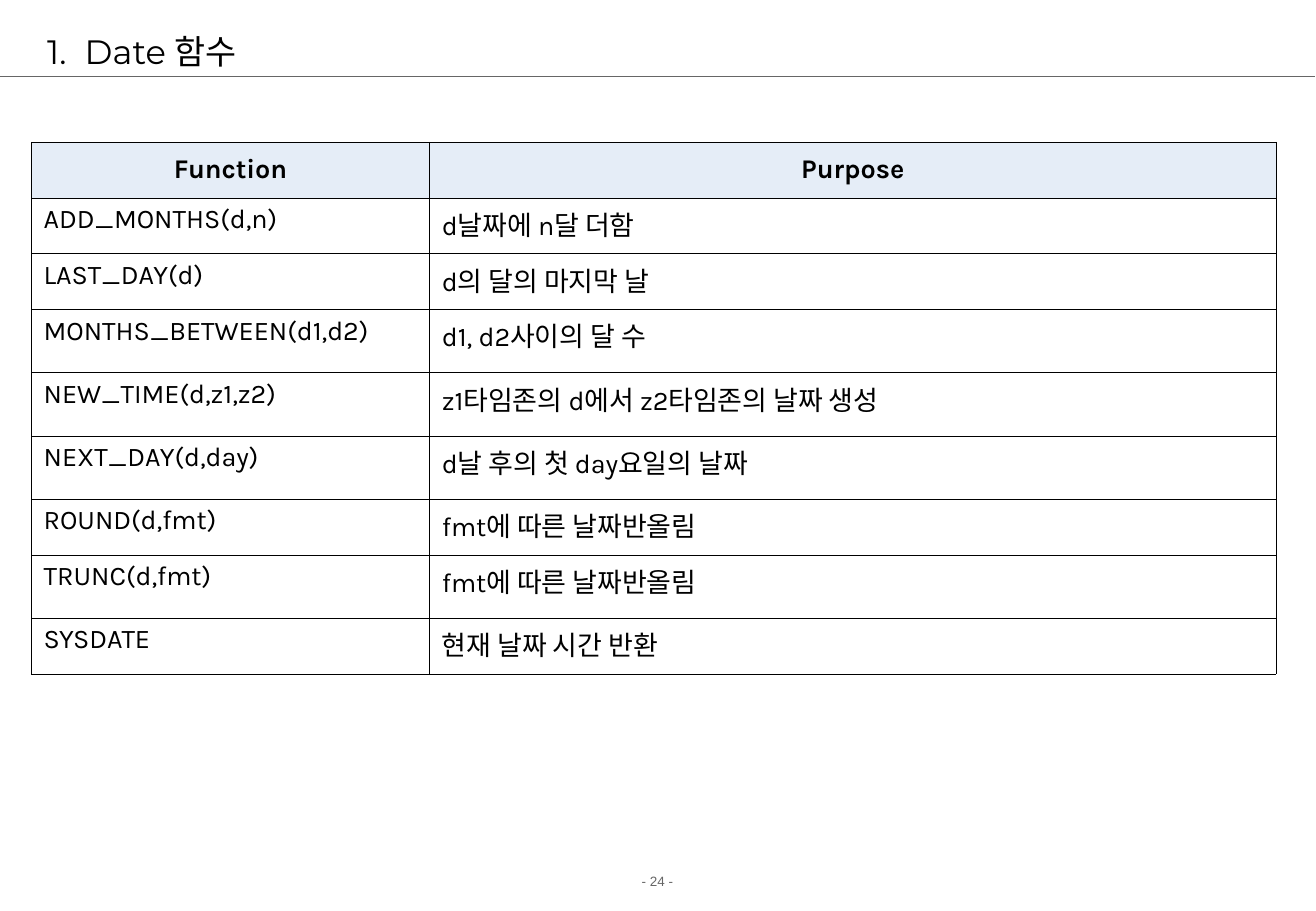
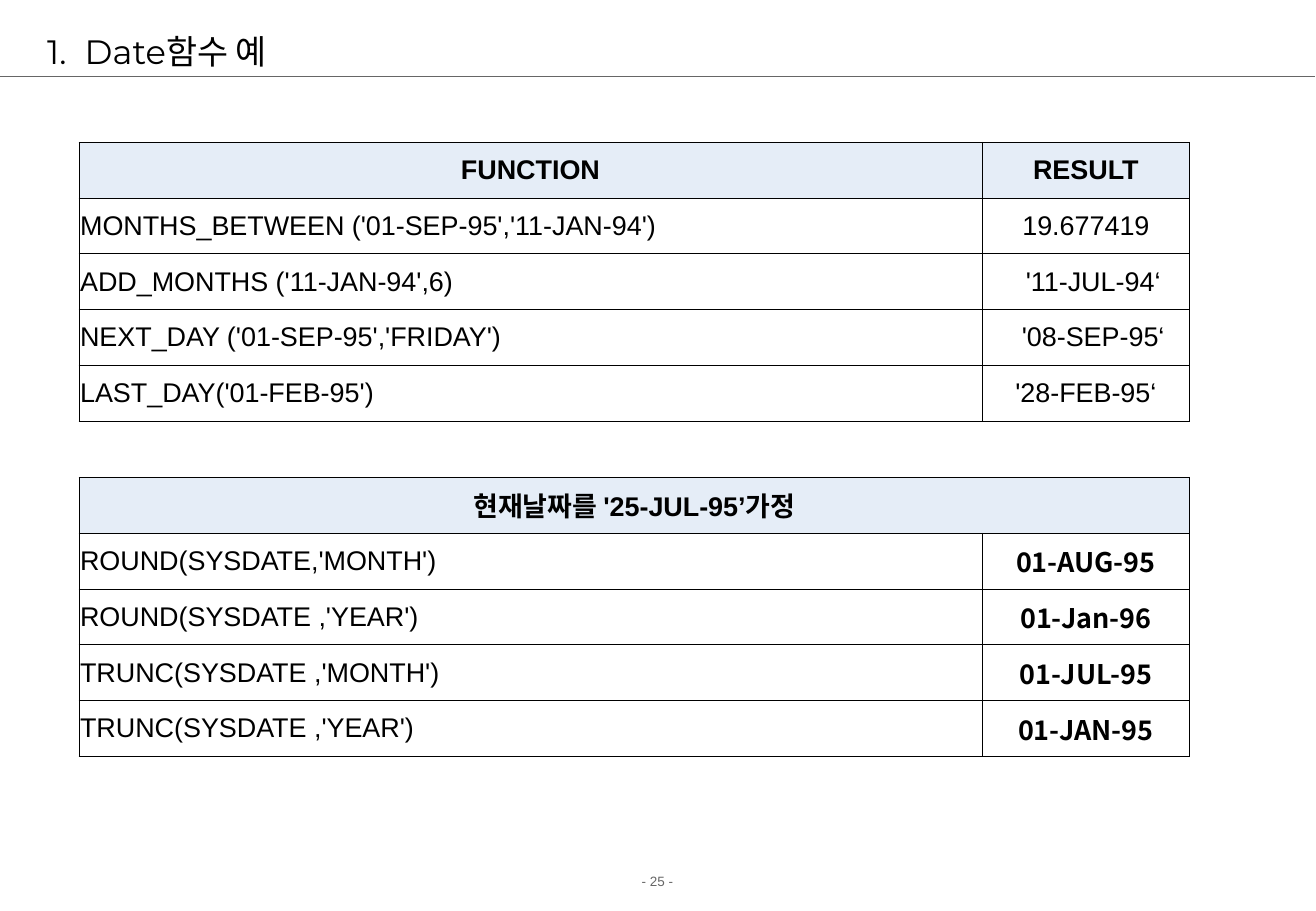
from lxml import etree
from pptx import Presentation
from pptx.dml.color import RGBColor
from pptx.enum.shapes import MSO_CONNECTOR
from pptx.enum.text import MSO_ANCHOR, PP_ALIGN
from pptx.oxml.ns import qn
from pptx.util import Inches, Pt

BLACK, GREY, WHITE, HEADER_FILL = "000000", "666666", "FFFFFF", "E5EDF7"
KOREAN_FONT = "Noto Sans CJK KR"


def add_run(p, text, font, size, color=BLACK, bold=False):
    r = p.add_run()
    r.text = text
    r.font.name, r.font.size, r.font.bold = font, Pt(size), bold
    r.font.color.rgb = RGBColor.from_string(color)
    latin = r.font._element.find(qn("a:latin"))
    latin.addnext(latin.makeelement(qn("a:ea"), {"typeface": KOREAN_FONT}))


def set_border(cell, side, visible):
    tc_pr = cell._tc.get_or_add_tcPr()
    ln = etree.SubElement(tc_pr, qn(f"a:ln{side}"), w=str(Pt(0.45)))
    if visible:
        fill = etree.SubElement(ln, qn("a:solidFill"))
        etree.SubElement(fill, qn("a:srgbClr"), val=BLACK)
    else:
        etree.SubElement(ln, qn("a:noFill"))


# Content: a one-item row is a spanning header, an empty row is a gap
function_rows = [
    ["Function", "Purpose"],
    ["ADD_MONTHS(d,n)", "d날짜에 n달 더함"],
    ["LAST_DAY(d)", "d의 달의 마지막 날"],
    ["MONTHS_BETWEEN(d1,d2)", "d1, d2사이의 달 수"],
    ["NEW_TIME(d,z1,z2)", "z1타임존의 d에서 z2타임존의 날짜 생성"],
    ["NEXT_DAY(d,day)", "d날 후의 첫 day요일의 날짜"],
    ["ROUND(d,fmt)", "fmt에 따른 날짜반올림"],
    ["TRUNC(d,fmt)", "fmt에 따른 날짜반올림"],
    ["SYSDATE", "현재 날짜 시간 반환"],
]
example_rows = [
    ["FUNCTION", "RESULT"],
    ["MONTHS_BETWEEN ('01-SEP-95','11-JAN-94')", "19.677419"],
    ["ADD_MONTHS ('11-JAN-94',6)", "'11-JUL-94‘"],
    ["NEXT_DAY ('01-SEP-95','FRIDAY')", "'08-SEP-95‘"],
    ["LAST_DAY('01-FEB-95')", "'28-FEB-95‘"],
    [],
    ["현재날짜를 '25-JUL-95’가정"],
    ["ROUND(SYSDATE,'MONTH')", "01-AUG-95"],
    ["ROUND(SYSDATE ,'YEAR')", "01-Jan-96"],
    ["TRUNC(SYSDATE ,'MONTH')", "01-JUL-95"],
    ["TRUNC(SYSDATE ,'YEAR')", "01-JAN-95"],
]
slides = [
    dict(number=24, title="Date 함수", rows=function_rows, left=0.26,
         widths=[3.28, 6.97], tall_rows=(3, 4, 5, 7), font="Karla",
         margin=0.1, anchor=MSO_ANCHOR.TOP, aligns=[PP_ALIGN.LEFT, PP_ALIGN.LEFT]),
    dict(number=25, title="Date함수 예", rows=example_rows, left=0.65,
         widths=[7.44, 1.71], tall_rows=(), font="Arial",
         margin=0.01, anchor=MSO_ANCHOR.MIDDLE, aligns=[PP_ALIGN.LEFT, PP_ALIGN.CENTER]),
]

prs = Presentation()
prs.slide_width, prs.slide_height = Inches(10.84), Inches(7.5)

for page in slides:
    s = prs.slides.add_slide(prs.slide_layouts[6])

    # Footer
    sp = s.shapes.add_textbox(Inches(0), Inches(7.14), Inches(10.83), Inches(0.24))
    sp.text_frame.word_wrap = True
    p = sp.text_frame.paragraphs[0]
    p.alignment = PP_ALIGN.CENTER
    add_run(p, f"- {page['number']} -", "Arial", 8, GREY)

    # Title rule
    line = s.shapes.add_connector(MSO_CONNECTOR.STRAIGHT, Inches(0), Inches(0.63),
                                  Inches(10.83), Inches(0.63))
    line.line.color.rgb = RGBColor.from_string(GREY)
    line.line.width = Pt(0.75)
    etree.SubElement(line._element.spPr, qn("a:effectLst"))

    # Numbered title
    sp = s.shapes.add_textbox(Inches(0.29), Inches(0.21), Inches(10.17), Inches(0.42))
    tf = sp.text_frame
    tf.word_wrap = True
    tf.vertical_anchor = MSO_ANCHOR.MIDDLE
    p = tf.paragraphs[0]
    p_pr = p._p.get_or_add_pPr()
    p_pr.set("marL", str(Inches(0.31)))
    p_pr.set("indent", str(-Inches(0.31)))
    bullet_color = etree.SubElement(p_pr, qn("a:buClr"))
    etree.SubElement(bullet_color, qn("a:srgbClr"), val=BLACK)
    etree.SubElement(p_pr, qn("a:buAutoNum"), type="arabicPeriod")
    add_run(p, page["title"], "Montserrat", 20)

    # Table grid
    rows, widths = page["rows"], page["widths"]
    heights = [0.52 if i in page["tall_rows"] else 0.46 for i in range(len(rows))]
    table = s.shapes.add_table(len(rows), 2, Inches(page["left"]), Inches(1.17),
                               Inches(sum(widths)), Inches(sum(heights))).table
    table.first_row = table.horz_banding = False
    for column, width in zip(table.columns, widths):
        column.width = Inches(width)
    for row, height in zip(table.rows, heights):
        row.height = Inches(height)

    # Table cells
    font, result_bold = page["font"], False
    for i, texts in enumerate(rows):
        is_header = i == 0 or len(texts) == 1
        for j in range(2):
            cell = table.cell(i, j)
            for side in "LRTB":
                set_border(cell, side, bool(texts) or side in "TB")
            cell.fill.solid()
            cell.fill.fore_color.rgb = RGBColor.from_string(HEADER_FILL if is_header else WHITE)
            cell.margin_left = cell.margin_right = Inches(page["margin"])
            cell.vertical_anchor = MSO_ANCHOR.MIDDLE if is_header else page["anchor"]
            if j < len(texts):
                p = cell.text_frame.paragraphs[0]
                p.alignment = PP_ALIGN.CENTER if is_header else page["aligns"][j]
                emphasised = result_bold and j == 1
                add_run(p, texts[j], KOREAN_FONT if emphasised else font, 16,
                        bold=is_header or emphasised)
        if len(texts) == 1:
            table.cell(i, 0).merge(table.cell(i, 1))
            result_bold = True

# Two results on the last slide sit slightly right of centre
for i in (2, 3):
    table.cell(i, 1).margin_left = Inches(0.13)

prs.save("out.pptx")
